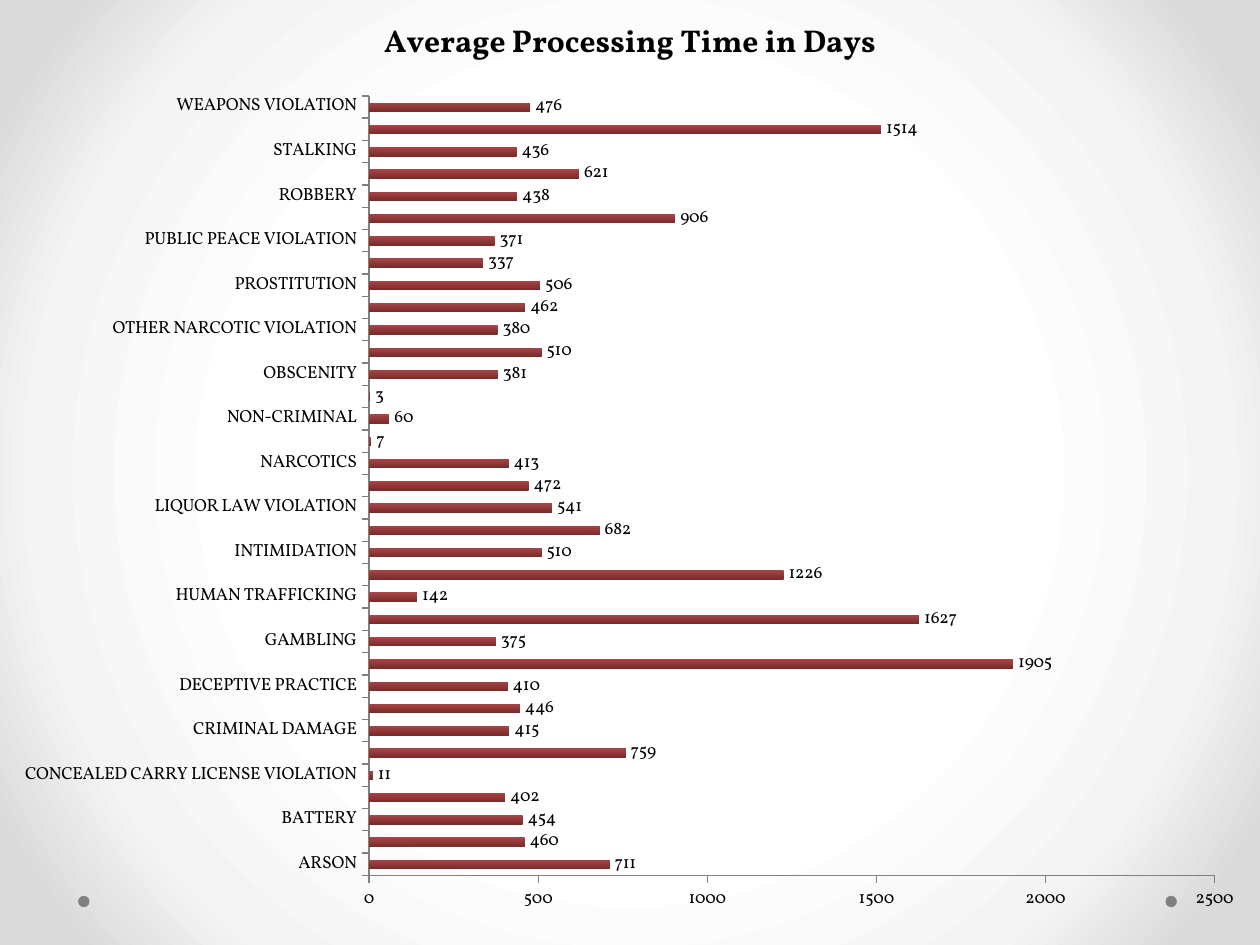
from dataclasses import dataclass

from lxml import etree
from pptx import Presentation
from pptx.chart.data import CategoryChartData
from pptx.dml.color import RGBColor
from pptx.enum.chart import XL_CHART_TYPE, XL_LABEL_POSITION, XL_TICK_MARK
from pptx.enum.shapes import MSO_SHAPE
from pptx.oxml.ns import qn
from pptx.util import Inches, Pt

BAR_CLUSTERED = XL_CHART_TYPE.BAR_CLUSTERED
OUTSIDE_END = XL_LABEL_POSITION.OUTSIDE_END
TICK_OUTSIDE = XL_TICK_MARK.OUTSIDE
OVAL = MSO_SHAPE.OVAL

PROCESSING_DAYS = {
    "ARSON": 711,
    "ASSAULT": 460,
    "BATTERY": 454,
    "BURGLARY": 402,
    "CONCEALED CARRY LICENSE VIOLATION": 11,
    "CRIM SEXUAL ASSAULT": 759,
    "CRIMINAL DAMAGE": 415,
    "CRIMINAL TRESPASS": 446,
    "DECEPTIVE PRACTICE": 410,
    "DOMESTIC VIOLENCE": 1905,
    "GAMBLING": 375,
    "HOMICIDE": 1627,
    "HUMAN TRAFFICKING": 142,
    "INTERFERENCE WITH PUBLIC OFFICER": 1226,
    "INTIMIDATION": 510,
    "KIDNAPPING": 682,
    "LIQUOR LAW VIOLATION": 541,
    "MOTOR VEHICLE THEFT": 472,
    "NARCOTICS": 413,
    "NON - CRIMINAL": 7,
    "NON-CRIMINAL": 60,
    "NON-CRIMINAL (SUBJECT SPECIFIED)": 3,
    "OBSCENITY": 381,
    "OFFENSE INVOLVING CHILDREN": 510,
    "OTHER NARCOTIC VIOLATION": 380,
    "OTHER OFFENSE": 462,
    "PROSTITUTION": 506,
    "PUBLIC INDECENCY": 337,
    "PUBLIC PEACE VIOLATION": 371,
    "RITUALISM": 906,
    "ROBBERY": 438,
    "SEX OFFENSE": 621,
    "STALKING": 436,
    "THEFT": 1514,
    "WEAPONS VIOLATION": 476,
}


@dataclass(frozen=True)
class Theme:
    font: str = "Vollkorn"
    text: str = "000000"
    muted: str = "808080"
    bar_top: str = "A84545"
    bar_bottom: str = "7A2C2C"
    backdrop: tuple = ((50, "FFFFFF"), (76, "F4F4F4"), (92, "DADADA"))
    body_size: int = 10
    title_size: int = 18


class SlideBuilder:
    def __init__(self, slide, theme):
        self.slide = slide
        self.theme = theme

    def style_font(self, font, size, bold=False):
        font.name = self.theme.font
        font.size = Pt(size)
        font.bold = bold
        font.color.rgb = RGBColor.from_string(self.theme.text)

    def radial_background(self):
        self.slide.background.fill.solid()
        solid = self.slide.element.find(".//" + qn("p:bgPr")).find(qn("a:solidFill"))
        gradient = etree.Element(qn("a:gradFill"), rotWithShape="1")
        stops = etree.SubElement(gradient, qn("a:gsLst"))
        for percent, color in self.theme.backdrop:
            stop = etree.SubElement(stops, qn("a:gs"), pos=str(percent * 1000))
            etree.SubElement(stop, qn("a:srgbClr"), val=color)
        circle = etree.SubElement(gradient, qn("a:path"))
        circle.set("path", "circle")
        center = {side: "50000" for side in "ltrb"}
        etree.SubElement(circle, qn("a:fillToRect"), center)
        solid.getparent().replace(solid, gradient)

    def dot(self, left, top, size):
        dot = self.slide.shapes.add_shape(
            OVAL, Inches(left), Inches(top), Inches(size), Inches(size))
        dot.shadow.inherit = False
        dot.fill.solid()
        dot.fill.fore_color.rgb = RGBColor.from_string(self.theme.muted)
        dot.line.fill.background()

    def style_axis(self, axis):
        axis.has_major_gridlines = False
        axis.major_tick_mark = TICK_OUTSIDE
        axis.format.line.color.rgb = RGBColor.from_string(self.theme.muted)
        axis.format.line.width = Pt(0.75)
        self.style_font(axis.tick_labels.font, self.theme.body_size)

    def place_plot(self, chart, **fractions):
        plot_area = chart.element.find(".//" + qn("c:plotArea"))
        for old in plot_area.findall(qn("c:layout")):
            plot_area.remove(old)
        layout = etree.Element(qn("c:layout"))
        manual = etree.SubElement(layout, qn("c:manualLayout"))
        settings = {"layoutTarget": "inner", "xMode": "edge", "yMode": "edge", **fractions}
        for name, value in settings.items():
            etree.SubElement(manual, qn("c:" + name), val=str(value))
        plot_area.insert(0, layout)

    def bar_chart(self, title, values, left, top, width, height):
        data = CategoryChartData()
        data.categories = list(values)
        data.add_series("Series 1", list(values.values()))
        chart = self.slide.shapes.add_chart(
            BAR_CLUSTERED, Inches(left), Inches(top),
            Inches(width), Inches(height), data).chart
        self.style_font(chart.font, self.theme.body_size)
        chart.has_legend = False
        chart.has_title = True
        chart.chart_title.include_in_layout = False
        frame = chart.chart_title.text_frame
        frame.text = title
        for span in frame.paragraphs[0].runs:
            self.style_font(span.font, self.theme.title_size, bold=True)

        for axis in (chart.category_axis, chart.value_axis):
            self.style_axis(axis)
        skip = etree.Element(qn("c:tickLblSkip"), val="2")
        chart.category_axis._element.find(qn("c:noMultiLvlLbl")).addprevious(skip)
        chart.value_axis.minimum_scale = 0
        chart.value_axis.maximum_scale = 2500
        chart.value_axis.major_unit = 500

        plot = chart.plots[0]
        plot.gap_width = 150
        plot.vary_by_categories = False
        plot.has_data_labels = True
        labels = plot.data_labels
        labels.show_value = True
        labels.position = OUTSIDE_END
        self.style_font(labels.font, self.theme.body_size)
        fill = plot.series[0].format.fill
        fill.gradient()
        fill.gradient_angle = 270
        colors = (self.theme.bar_top, self.theme.bar_bottom)
        for stop, color in zip(fill.gradient_stops, colors):
            stop.color.rgb = RGBColor.from_string(color)
        self.place_plot(chart, x=0.293, y=0.115, w=0.671, h=0.826)


def main():
    deck = Presentation()
    deck.slide_width = Inches(10)
    deck.slide_height = Inches(7.5)
    page = SlideBuilder(deck.slides.add_slide(deck.slide_layouts[6]), Theme())
    page.radial_background()
    for left in (9.25, 0.62):
        page.dot(left, 7.11, 0.09)
    page.bar_chart("Average Processing Time in Days", PROCESSING_DAYS, 0, -0.1, 10, 7.49)
    deck.save("out.pptx")


if __name__ == "__main__":
    main()
